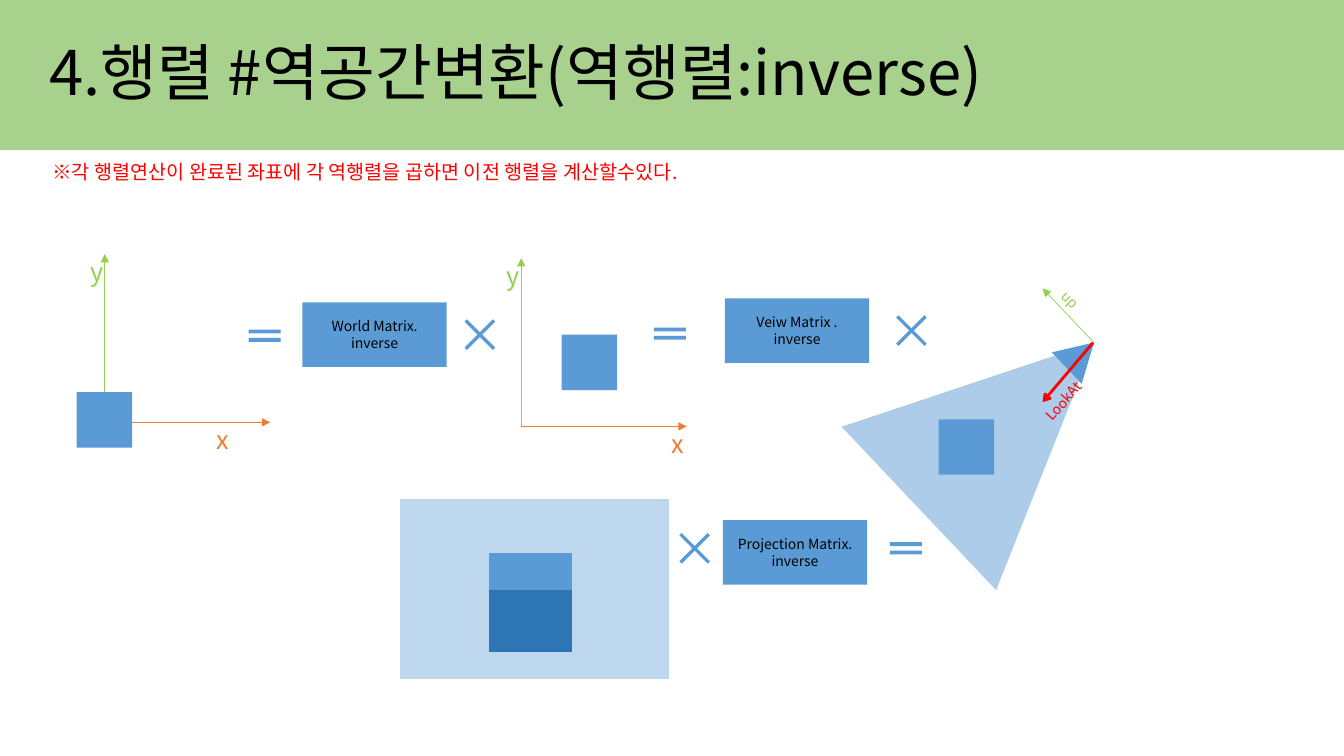
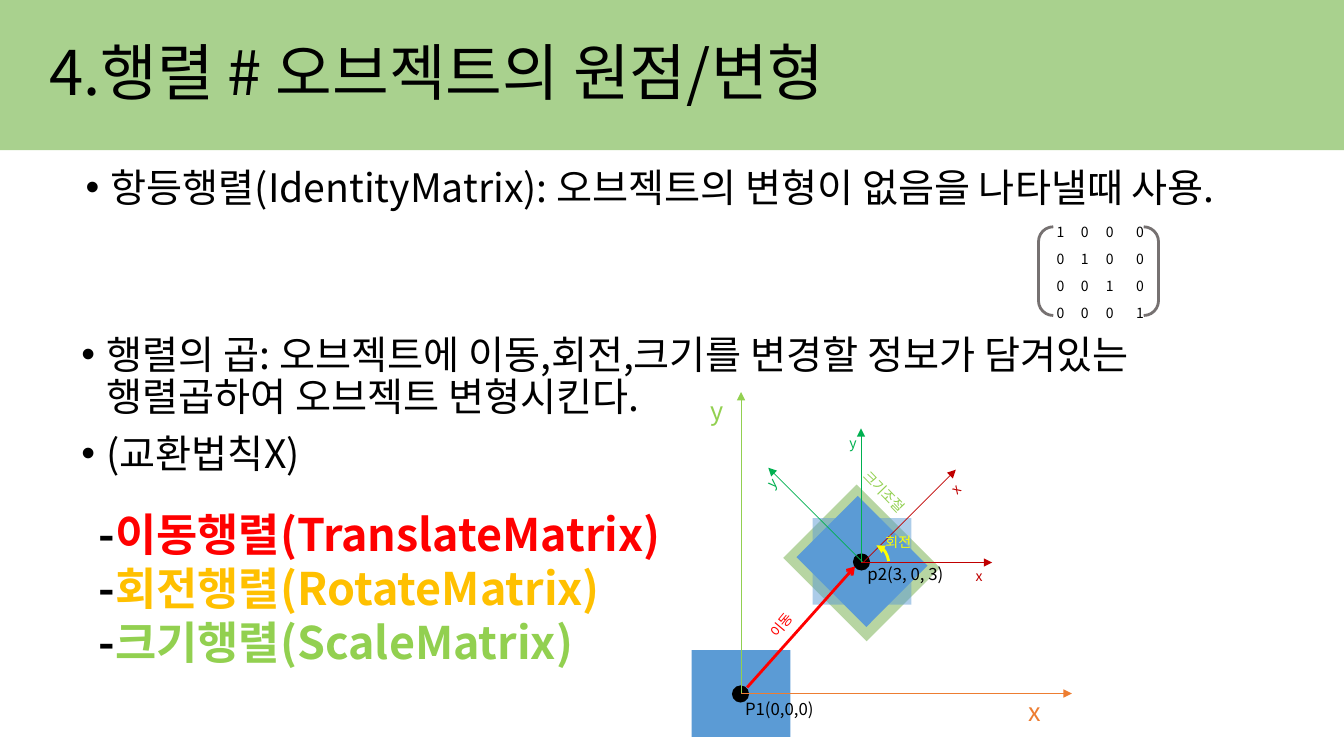
from dataclasses import dataclass

from lxml import etree
from pptx import Presentation
from pptx.dml.color import RGBColor
from pptx.enum.shapes import MSO_CONNECTOR, MSO_SHAPE
from pptx.enum.text import MSO_ANCHOR, PP_ALIGN
from pptx.oxml.ns import qn
from pptx.util import Inches, Pt

RECT, TRIANGLE, OVAL = MSO_SHAPE.RECTANGLE, MSO_SHAPE.ISOSCELES_TRIANGLE, MSO_SHAPE.OVAL
PROCESS, ARC, BRACKETS = MSO_SHAPE.FLOWCHART_PROCESS, MSO_SHAPE.ARC, MSO_SHAPE.DOUBLE_BRACKET
TIMES, EQUALS = MSO_SHAPE.MATH_MULTIPLY, MSO_SHAPE.MATH_EQUAL
STRAIGHT = MSO_CONNECTOR.STRAIGHT
TOP, MIDDLE = MSO_ANCHOR.TOP, MSO_ANCHOR.MIDDLE
LEFT, CENTER = PP_ALIGN.LEFT, PP_ALIGN.CENTER


@dataclass(frozen=True)
class Theme:
    """Colours, font and type sizes of the deck."""

    font: str = "Noto Sans CJK KR"
    ink: str = "000000"
    band: str = "A9D18E"
    blue: str = "5B9BD5"
    pale_blue: str = "BDD7EE"
    deep_blue: str = "2E75B6"
    leaf: str = "70AD47"
    lime: str = "92D050"
    orange: str = "ED7D31"
    green: str = "00B050"
    crimson: str = "C00000"
    red: str = "FF0000"
    amber: str = "FFC000"
    yellow: str = "FFFF00"
    grey: str = "767171"
    title: int = 44
    list: int = 32
    body: int = 28
    axis: int = 18
    note: int = 14
    point: int = 12
    small: int = 10
    thin: float = 0.5
    bold: float = 2


THEME = Theme()
WORLD_AXES = (THEME.lime, THEME.orange)
LOCAL_AXES = (THEME.green, THEME.crimson)


def style(paragraph, size, colour, bold=False, align=LEFT):
    """Set the type of a whole paragraph."""
    paragraph.alignment = align
    font = paragraph.font
    font.size, font.bold, font.name = Pt(size), bold, THEME.font
    font.color.rgb = RGBColor.from_string(colour)
    defaults = paragraph._p.pPr.find(qn("a:defRPr"))
    etree.SubElement(defaults, qn("a:ea"), typeface=THEME.font)


def text_box(slide, box, anchor=TOP):
    """Add a wrapping text box and return its frame."""
    frame = slide.shapes.add_textbox(*map(Inches, box)).text_frame
    frame.word_wrap = True
    frame.vertical_anchor = anchor
    return frame


def write(slide, text, box, size, colour, anchor=TOP, spacing=1.0):
    """Add one paragraph of text in its own box."""
    paragraph = text_box(slide, box, anchor).paragraphs[0]
    paragraph.text = text
    paragraph.line_spacing = spacing
    style(paragraph, size, colour)


def bullets(slide, items, box):
    """Add a bulleted list."""
    frame = text_box(slide, box)
    for index, item in enumerate(items):
        paragraph = frame.add_paragraph() if index else frame.paragraphs[0]
        paragraph.text = item
        paragraph.line_spacing = 0.9
        paragraph.space_before = Pt(10 if index else 0)
        properties = paragraph._p.get_or_add_pPr()
        properties.set("marL", str(Inches(0.25)))
        properties.set("indent", str(Inches(-0.25)))
        etree.SubElement(properties, qn("a:buFont"), typeface="Arial")
        etree.SubElement(properties, qn("a:buChar"), char="•")
        style(paragraph, THEME.body, THEME.ink)


def label(slide, text, center, size, colour, rotation=0):
    """Add a short label around a centre point."""
    x, y = center
    frame = text_box(slide, (x - 0.6, y - 0.18, 1.2, 0.36), MIDDLE)
    frame.margin_left = frame.margin_right = frame.margin_top = frame.margin_bottom = 0
    frame.paragraphs[0].text = text
    style(frame.paragraphs[0], size, colour, align=CENTER)
    frame._parent.rotation = rotation


def shape(slide, kind, box, fill=None, opacity=100, rotation=0, adjust=()):
    """Add a preset shape without outline."""
    item = slide.shapes.add_shape(kind, *map(Inches, box))
    item.shadow.inherit = False
    item.rotation = rotation
    item.line.fill.background()
    for index, value in enumerate(adjust):
        item.adjustments[index] = value
    if fill is None:
        item.fill.background()
        return item
    item.fill.solid()
    item.fill.fore_color.rgb = RGBColor.from_string(fill)
    if opacity < 100:
        colour = item.fill._xPr.find(qn("a:solidFill"))[0]
        etree.SubElement(colour, qn("a:alpha"), val=str(opacity * 1000))
    return item


def stroke(item, colour, width, end=None, head="triangle"):
    """Draw the line of a shape or connector, with an arrowhead at one end."""
    item.line.color.rgb = RGBColor.from_string(colour)
    item.line.width = Pt(width)
    if end:
        etree.SubElement(item.line._get_or_add_ln(), qn(f"a:{end}"), type=head)


def arrow(slide, start, end, colour, width=THEME.thin, head="triangle"):
    """Add a straight arrow."""
    line = slide.shapes.add_connector(STRAIGHT, *map(Inches, (*start, *end)))
    stroke(line, colour, width, "tailEnd", head)
    etree.SubElement(line._element.spPr, qn("a:effectLst"))


def axes(slide, origin, tips, letters, colours, size, rotation=0):
    """Add a y and an x axis with their letters."""
    for name, tip, center, colour in zip("yx", tips, letters, colours):
        arrow(slide, origin, tip, colour)
        label(slide, name, center, size, colour, rotation)


def matrix_box(slide, name, left, top):
    """Add a box that names an inverse matrix."""
    item = shape(slide, RECT, (left, top, 1.43, 0.64), THEME.blue)
    frame = item.text_frame
    frame.vertical_anchor = MIDDLE
    frame.paragraphs[0].text = f"{name}\vinverse"
    style(frame.paragraphs[0], THEME.small, THEME.ink, align=CENTER)


def cube(slide, left, top):
    """Add the small square object."""
    shape(slide, RECT, (left, top, 0.55, 0.55), THEME.blue)


def identity_matrix(slide):
    """Add the 4 by 4 identity matrix in brackets."""
    frame = slide.shapes.add_table(4, 4, *map(Inches, (10.38, 2.15, 1.05, 1.09)))
    table = frame.table
    table.first_row = table.horz_banding = False
    for column, width in zip(table.columns, (0.23, 0.25, 0.3, 0.27)):
        column.width = Inches(width)
    for i, row in enumerate(table.rows):
        row.height = Inches(0.29 if i == 3 else 0.26)
        for j, cell in enumerate(row.cells):
            cell.fill.background()
            paragraph = cell.text_frame.paragraphs[0]
            paragraph.text = str(int(i == j))
            style(paragraph, THEME.small, THEME.ink)
    stroke(shape(slide, BRACKETS, (10.3, 2.25, 1.19, 0.88)), THEME.grey, THEME.bold)


def matrix_list(slide):
    """Add the coloured list of transform matrices."""
    frame = text_box(slide, (0.88, 4.98, 6.95, 1.72))
    names = (
        ("이동행렬(TranslateMatrix)", THEME.red),
        ("회전행렬(RotateMatrix)", THEME.amber),
        ("크기행렬(ScaleMatrix)", THEME.lime),
    )
    for index, (name, colour) in enumerate(names):
        paragraph = frame.add_paragraph() if index else frame.paragraphs[0]
        paragraph.add_run().text = "-"
        matrix = paragraph.add_run()
        matrix.text = name
        style(paragraph, THEME.list, THEME.ink, bold=True)
        matrix.font.color.rgb = RGBColor.from_string(colour)


def titled_slide(deck, title):
    """Add a blank slide with the title band."""
    slide = deck.slides.add_slide(deck.slide_layouts[6])
    shape(slide, RECT, (0, -0.02, 13.33, 1.51), THEME.band)
    write(slide, title, (0.39, 0.02, 11.5, 1.45), THEME.title, THEME.ink, MIDDLE, 0.9)
    return slide


def inverse_slide(deck):
    """Build the slide on inverse transforms."""
    slide = titled_slide(deck, "4.행렬 #역공간변환(역행렬:inverse)")
    write(slide, "※각 행렬연산이 완료된 좌표에 각 역행렬을 곱하면 이전 행렬을 계산할수있다.",
          (0.42, 1.54, 9.97, 0.34), THEME.note, THEME.red)

    axes(slide, (1.04, 4.19), ((1.04, 2.52), (2.68, 4.19)),
         ((0.96, 2.69), (2.21, 4.36)), WORLD_AXES, THEME.axis)
    axes(slide, (5.17, 4.23), ((5.17, 2.56), (6.81, 4.23)),
         ((5.09, 2.73), (6.72, 4.4)), WORLD_AXES, THEME.axis)
    for left, top in ((0.76, 3.89), (5.57, 3.32), (9.31, 4.16)):
        cube(slide, left, top)

    shape(slide, TRIANGLE, (10.5, 3.34, 0.43, 0.37), THEME.blue, rotation=46.6)
    arrow(slide, (10.85, 3.4), (10.34, 2.86), THEME.lime)
    shape(slide, TRIANGLE, (8.87, 3.02, 2.23, 2.4), THEME.blue, 50, 46.6)
    arrow(slide, (10.84, 3.4), (10.34, 3.99), THEME.red, THEME.bold, "arrow")
    label(slide, "LookAt", (10.55, 3.98), THEME.small, THEME.red, 311)
    label(slide, "up", (10.62, 2.97), THEME.small, THEME.lime, 45)

    for box, fill in (
        ((3.97, 4.95, 2.67, 1.79), THEME.pale_blue),
        ((4.85, 5.49, 0.82, 0.36), THEME.blue),
        ((4.85, 5.85, 0.82, 0.62), THEME.deep_blue),
    ):
        shape(slide, PROCESS, box, fill)

    for name, left, top in (
        ("World Matrix.", 3, 3),
        ("Veiw Matrix .", 7.19, 2.96),
        ("Projection Matrix.", 7.17, 5.16),
    ):
        matrix_box(slide, name, left, top)
    for left, top in ((4.49, 3.05), (8.77, 3.01), (6.62, 5.17)):
        shape(slide, TIMES, (left, top, 0.54, 0.54), THEME.blue, adjust=(0.06,))
    for left, top in ((2.41, 3.14), (6.43, 3.12), (8.77, 5.25)):
        shape(slide, EQUALS, (left, top, 0.43, 0.38), THEME.blue, adjust=(0.1, 0.12))


def origin_slide(deck):
    """Build the slide on object origin and transforms."""
    slide = titled_slide(deck, "4.행렬 # 오브젝트의 원점/변형")
    bullets(slide, ["항등행렬(IdentityMatrix): 오브젝트의 변형이 없음을 나타낼때 사용."],
            (0.75, 1.62, 12.62, 0.58))
    bullets(slide, ["행렬의 곱: 오브젝트에 이동,회전,크기를 변경할 정보가 담겨있는\v"
                    "행렬곱하여 오브젝트 변형시킨다.", "(교환법칙X)"],
            (0.71, 3.28, 12.62, 1.7))

    moved = (8.06, 5.14, 0.98, 0.86)
    shape(slide, RECT, (6.86, 6.45, 0.98, 0.86), THEME.blue)
    shape(slide, RECT, (7.96, 5.07, 1.17, 1.03), THEME.leaf, 50, 45)
    shape(slide, RECT, moved, THEME.blue, rotation=45)
    shape(slide, RECT, moved, THEME.blue, 50)
    for name, left, top, center in (
        ("P1(0,0,0)", 7.26, 6.8, (7.73, 7.03)),
        ("p2(3, 0, 3)", 8.46, 5.49, (8.98, 5.69)),
    ):
        shape(slide, OVAL, (left, top, 0.17, 0.17), THEME.ink)
        label(slide, name, center, THEME.point, THEME.ink)

    arrow(slide, (7.41, 6.82), (8.48, 5.62), THEME.red, THEME.bold, "arrow")
    label(slide, "이동", (7.75, 6.2), THEME.small, THEME.red, 310)
    label(slide, "크기조절", (8.77, 4.88), THEME.small, THEME.lime, 45.9)
    axes(slide, (7.35, 6.88), ((7.35, 3.89), (10.63, 6.88)),
         ((7.11, 4.07), (10.26, 7.06)), WORLD_AXES, THEME.axis)
    axes(slide, (8.56, 5.58), ((7.62, 4.64), (9.48, 4.66)),
         ((7.66, 4.79), (9.48, 4.85)), LOCAL_AXES, THEME.small, 315)
    turn = shape(slide, ARC, (8.55, 5.41, 0.27, 0.44), adjust=(163.06, 200.41))
    stroke(turn, THEME.yellow, THEME.bold, "headEnd")
    label(slide, "회전", (8.91, 5.38), THEME.small, THEME.yellow)
    axes(slide, (8.54, 5.58), ((8.54, 4.25), (9.84, 5.58)),
         ((8.46, 4.39), (9.71, 5.71)), LOCAL_AXES, THEME.small)

    matrix_list(slide)
    identity_matrix(slide)


def main():
    """Build and save the deck."""
    deck = Presentation()
    deck.slide_width, deck.slide_height = Inches(13.33), Inches(7.5)
    inverse_slide(deck)
    origin_slide(deck)
    deck.save("out.pptx")


if __name__ == "__main__":
    main()
